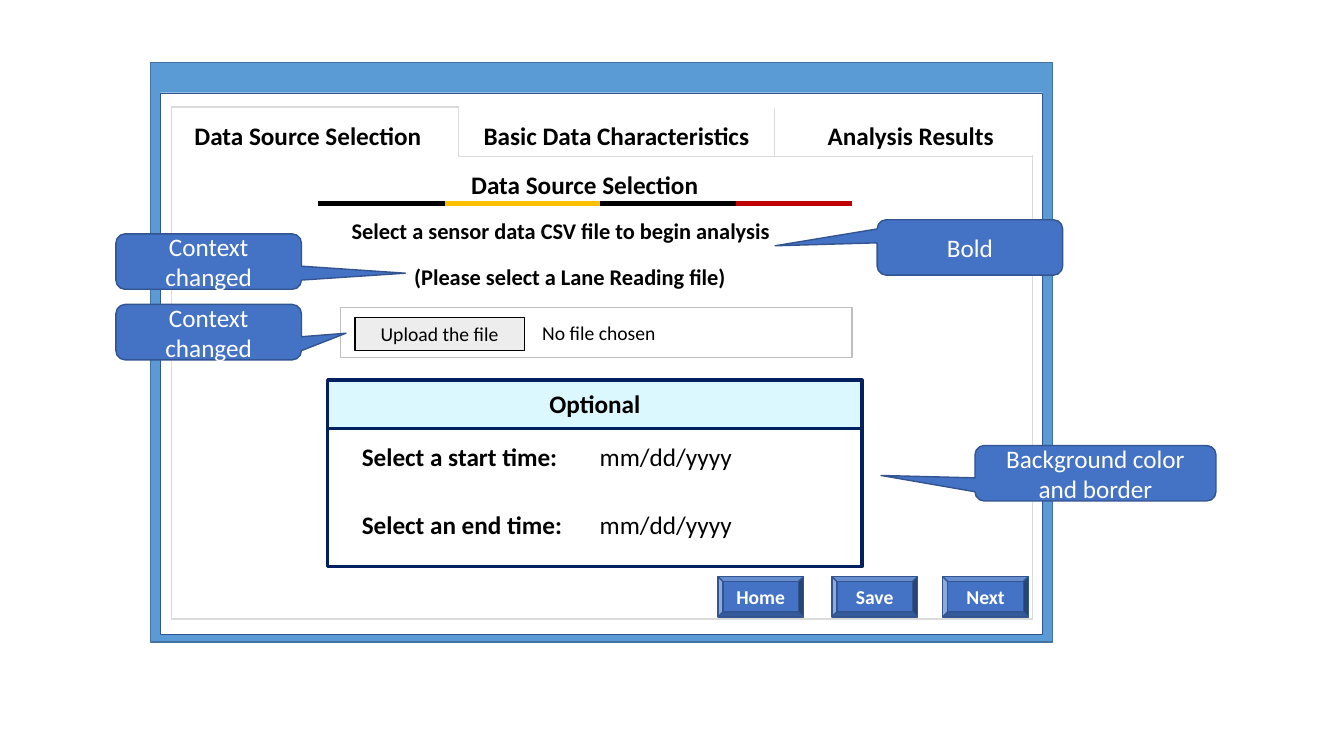
from lxml.etree import SubElement
from pptx import Presentation
from pptx.dml.color import RGBColor
from pptx.enum.shapes import MSO_CONNECTOR, MSO_SHAPE as Shape
from pptx.enum.text import MSO_ANCHOR as Anchor, PP_ALIGN as Align
from pptx.oxml.ns import qn
from pptx.util import Inches, Pt

BLACK = RGBColor(0x00, 0x00, 0x00)
WHITE = RGBColor(0xFF, 0xFF, 0xFF)
FRAME_BLUE = RGBColor(0x5B, 0x9B, 0xD5)
FRAME_EDGE = RGBColor(0x43, 0x73, 0x9E)
BLUE = RGBColor(0x44, 0x72, 0xC4)
BLUE_EDGE = RGBColor(0x32, 0x54, 0x91)
NAVY = RGBColor(0x00, 0x20, 0x60)
CYAN = RGBColor(0x00, 0xCC, 0xFF)
TAB_GRAY = RGBColor(0xDB, 0xDB, 0xDB)
FIELD_GRAY = RGBColor(0xBF, 0xBF, 0xBF)
BUTTON_GRAY = RGBColor(0xED, 0xED, 0xED)
GOLD = RGBColor(0xFF, 0xC0, 0x00)
RED = RGBColor(0xC0, 0x00, 0x00)


class Mockup:
    """Draws the parts of a screen mockup on one slide in a shared style."""

    font = "Calibri"

    def __init__(self, page):
        self.page = page

    def set_text(self, frame, text, size, color, bold, align):
        frame.word_wrap = True
        frame.text = text
        para = frame.paragraphs[0]
        para.alignment = align
        for span in para.runs:
            span.font.name = self.font
            span.font.size = Pt(size)
            span.font.bold = bold
            span.font.color.rgb = color

    def shape(self, place, fill=None, edge=None, weight=1, kind=Shape.RECTANGLE, alpha=None):
        box = self.page.shapes.add_shape(kind, *map(Inches, place))
        box.shadow.inherit = False
        if fill is None:
            box.fill.background()
        else:
            box.fill.solid()
            box.fill.fore_color.rgb = fill
        if alpha is not None:
            color = box._element.spPr.find(qn("a:solidFill"))[0]
            SubElement(color, qn("a:alpha")).set("val", str(alpha * 1000))
        if edge is None:
            box.line.fill.background()
        else:
            box.line.color.rgb = edge
            box.line.width = Pt(weight)
        return box

    def label(self, place, text, size=18, bold=True, align=Align.LEFT):
        box = self.page.shapes.add_textbox(*map(Inches, place))
        self.set_text(box.text_frame, text, size, BLACK, bold, align)

    def button(self, place, text, fill=BLUE, edge=BLUE_EDGE, kind=Shape.BEVEL,
               size=14, color=WHITE, bold=True):
        box = self.shape(place, fill, edge, kind=kind)
        box.text_frame.vertical_anchor = Anchor.MIDDLE
        self.set_text(box.text_frame, text, size, color, bold, Align.CENTER)
        return box

    def callout(self, left, top, width, text, tip):
        box = self.button((left, top, width, 0.55), text,
                          kind=Shape.ROUNDED_RECTANGULAR_CALLOUT, size=18, bold=False)
        box.adjustments[0], box.adjustments[1] = tip

    def line(self, start, end, color, weight=1):
        rule = self.page.shapes.add_connector(
            MSO_CONNECTOR.STRAIGHT, *map(Inches, start + end))
        rule.line.color.rgb = color
        rule.line.width = Pt(weight)
        SubElement(rule._element.spPr, qn("a:effectLst"))


def draw_window(mockup):
    mockup.shape((1.49, 0.62, 8.95, 5.75), FRAME_BLUE, FRAME_EDGE)
    mockup.shape((1.59, 0.92, 8.75, 5.37), WHITE, BLUE_EDGE, 0.25)
    mockup.shape((1.7, 1.06, 8.54, 5.08), edge=TAB_GRAY)
    for left, width in ((4.55, 3.13), (7.68, 2.56)):
        mockup.shape((left, 1.06, width, 0.49), edge=TAB_GRAY)
    mockup.label((1.83, 1.14, 2.73, 0.4), "Data Source Selection")
    mockup.label((4.55, 1.14, 3.13, 0.4), "Basic Data Characteristics", align=Align.CENTER)
    mockup.label((8.11, 1.14, 3.13, 0.4), "Analysis Results")
    mockup.line((4.55, 1.06), (10.24, 1.06), WHITE)
    mockup.line((10.24, 0.99), (10.24, 1.54), WHITE)


def draw_file_section(mockup):
    mockup.label((3.15, 1.63, 5.3, 0.4), "Data Source Selection", align=Align.CENTER)
    stops = (3.15, 4.41, 5.95, 7.3, 8.45)
    for start, end, color in zip(stops, stops[1:], (BLACK, GOLD, BLACK, RED)):
        mockup.line((start, 2.02), (end, 2.02), color, 3)
    mockup.label((3.39, 2.11, 4.4, 0.37), "Select a sensor data CSV file to begin analysis", 16)
    mockup.label((4.01, 2.56, 3.29, 0.37), "(Please select a Lane Reading file)", 16)
    mockup.shape((3.38, 3.05, 5.07, 0.5), WHITE, FIELD_GRAY)
    mockup.button((3.52, 3.15, 1.68, 0.33), "Upload the file", BUTTON_GRAY, BLACK,
                  Shape.RECTANGLE, color=BLACK, bold=False)
    mockup.label((5.28, 3.13, 1.34, 0.34), "No file chosen", 14, False)


def draw_optional_section(mockup):
    mockup.shape((3.24, 3.77, 5.3, 0.47), CYAN, alpha=14)
    mockup.label((3.25, 3.8, 5.3, 0.4), "Optional", align=Align.CENTER)
    for top, text in ((4.33, "Select a start time:"), (5, "Select an end time:")):
        mockup.label((3.49, top, 2.3, 0.4), text)
        mockup.label((5.85, top, 1.73, 0.4), "mm/dd/yyyy", bold=False)
    mockup.shape((3.25, 3.77, 5.3, 1.85), edge=NAVY, weight=2.25)
    mockup.line((3.25, 4.25), (8.56, 4.25), NAVY, 2.25)


def main():
    deck = Presentation()
    deck.slide_width, deck.slide_height = Inches(13.33), Inches(7.5)
    mockup = Mockup(deck.slides.add_slide(deck.slide_layouts[6]))
    draw_window(mockup)
    draw_file_section(mockup)
    draw_optional_section(mockup)
    for left, text in ((8.25, "Save"), (9.35, "Next"), (7.12, "Home")):
        mockup.button((left, 5.72, 0.85, 0.4), text)
    mockup.callout(8.7, 2.18, 1.84, "Bold", (-1.05, -0.03))
    mockup.callout(9.67, 4.42, 2.39, "Background color and border", (-0.89, 0.04))
    mockup.callout(1.15, 3.02, 1.84, "Context changed", (0.74, 0.02))
    mockup.callout(1.15, 2.32, 1.84, "Context changed", (1.06, 0.21))
    deck.save("out.pptx")


if __name__ == "__main__":
    main()
